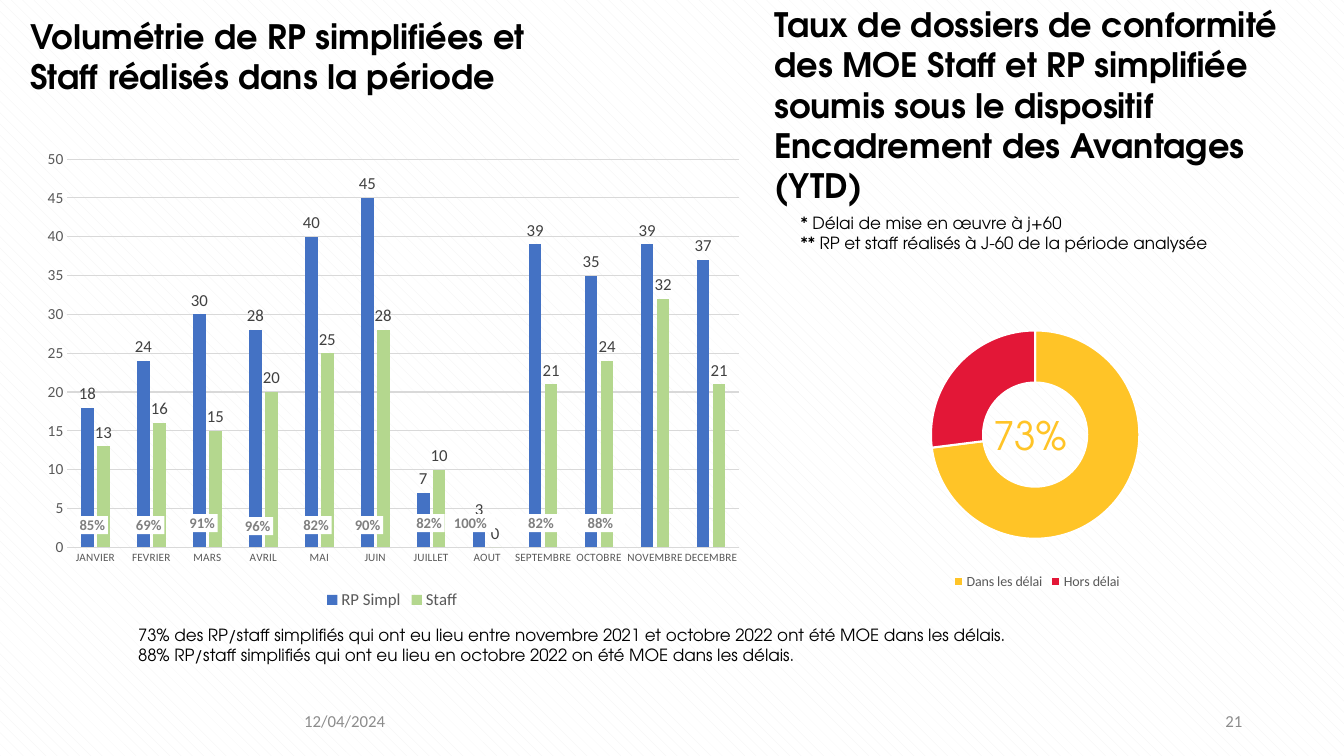
from dataclasses import dataclass

from lxml import etree
from pptx import Presentation
from pptx.chart.chart import Chart
from pptx.chart.data import CategoryChartData
from pptx.dml.color import RGBColor
from pptx.enum.chart import XL_CHART_TYPE, XL_LABEL_POSITION, XL_LEGEND_POSITION, XL_TICK_MARK
from pptx.enum.dml import MSO_PATTERN
from pptx.enum.shapes import MSO_SHAPE
from pptx.enum.text import MSO_ANCHOR, MSO_AUTO_SIZE, PP_ALIGN
from pptx.oxml.ns import qn
from pptx.slide import Slide
from pptx.text.text import Font
from pptx.util import Inches, Pt

COLUMNS, DOUGHNUT = XL_CHART_TYPE.COLUMN_CLUSTERED, XL_CHART_TYPE.DOUGHNUT
LEFT, CENTER, RIGHT = PP_ALIGN.LEFT, PP_ALIGN.CENTER, PP_ALIGN.RIGHT
TOP, MIDDLE = MSO_ANCHOR.TOP, MSO_ANCHOR.MIDDLE
NO_TICK = XL_TICK_MARK.NONE


@dataclass(frozen=True)
class Style:
    size: float
    color: str
    face: str = "Calibri"
    bold: bool = False


@dataclass(frozen=True)
class Theme:
    display: str = "TeX Gyre Adventor"
    white: str = "FFFFFF"
    hatch: str = "F2F2F2"
    grid: str = "D9D9D9"
    simplified: str = "4472C4"
    staff: str = "B4D78E"
    on_time: str = "FFC427"
    late: str = "E31737"
    title: Style = Style(24, "000000", display, True)
    note: Style = Style(12, "000000", display)
    rate: Style = Style(28, on_time, display)
    footer: Style = Style(12, "8C8C8C")
    badge: Style = Style(10.5, "808080", bold=True)
    chart: Style = Style(10, "000000")
    months: Style = Style(8, "595959")
    scale: Style = Style(11, "595959")
    legend: Style = Style(12, "595959")
    small_legend: Style = Style(10, "595959")
    value: Style = Style(12, "404040")


@dataclass(frozen=True)
class Area:
    left: float
    top: float
    width: float
    height: float

    def lengths(self) -> list[int]:
        return [Inches(side) for side in (self.left, self.top, self.width, self.height)]


@dataclass(frozen=True)
class TextBlock:
    area: Area
    lines: tuple[str, ...]
    style: Style
    align: PP_ALIGN = LEFT
    anchor: MSO_ANCHOR = MIDDLE
    inset: bool = False
    fill: str = ""


@dataclass(frozen=True)
class Badge:
    """Share of files handled on time, placed over a month's columns."""
    left: float
    top: float
    width: float
    text: str


THEME = Theme()

MONTHS = ("JANVIER", "FEVRIER", "MARS", "AVRIL", "MAI", "JUIN", "JUILLET", "AOUT",
          "SEPTEMBRE", "OCTOBRE", "NOVEMBRE", "DECEMBRE")
VOLUMES = {
    "RP Simpl": (18, 24, 30, 28, 40, 45, 7, 3, 39, 35, 39, 37),
    "Staff": (13, 16, 15, 20, 25, 28, 10, 0, 21, 24, 32, 21),
}
TEXTS = (
    TextBlock(Area(0.92, 6.95, 3, 0.4), ("12/04/2024",), THEME.footer, RIGHT, inset=True),
    TextBlock(Area(9.42, 6.95, 3, 0.4), ("21",), THEME.footer, RIGHT, inset=True),
    TextBlock(Area(0.3, 0.15, 5.58, 0.81),
              ("Volumétrie de RP simplifiées et Staff réalisés dans la période",), THEME.title),
    TextBlock(Area(7.68, 0.03, 5.58, 2.02),
              ("Taux de dossiers de conformité des MOE Staff et RP simplifiée soumis sous "
               "le dispositif Encadrement des Avantages (YTD)",), THEME.title),
    TextBlock(Area(7.94, 2.11, 5.17, 0.4),
              ("* Délai de mise en œuvre à j+60",
               "** RP et staff réalisés à J-60 de la période analysée"), THEME.note),
    TextBlock(Area(9.71, 4.08, 1.12, 0.47), ("73% ",), THEME.rate, CENTER, TOP),
    TextBlock(Area(1.37, 6.2, 9.72, 0.4),
              ("73% des RP/staff simplifiés qui ont eu lieu entre novembre 2021 et octobre 2022 "
               "ont été MOE dans les délais.",
               "88% RP/staff simplifiés qui ont eu lieu en octobre 2022 on été MOE dans les "
               "délais."), THEME.note),
)
BADGES = (
    Badge(0.76, 5.12, 0.31, "85%"), Badge(1.32, 5.12, 0.31, "69%"),
    Badge(1.85, 5.1, 0.31, "91%"), Badge(2.4, 5.13, 0.31, "96%"),
    Badge(2.98, 5.12, 0.31, "82%"), Badge(3.49, 5.12, 0.31, "90%"),
    Badge(4.1, 5.1, 0.31, "82%"), Badge(4.42, 5.1, 0.49, "100%"),
    Badge(5.12, 5.1, 0.49, "82%"), Badge(5.71, 5.1, 0.49, "88%"),
)


def apply(target: object, values: dict[str, object]) -> None:
    for name, value in values.items():
        setattr(target, name, value)


def set_font(font: Font, style: Style) -> None:
    apply(font, {"size": Pt(style.size), "name": style.face, "bold": style.bold})
    font.color.rgb = RGBColor.from_string(style.color)


def paint(fill: object, color: str) -> None:
    fill.solid()
    fill.fore_color.rgb = RGBColor.from_string(color)


def draw_text(page: Slide, block: TextBlock) -> None:
    if block.fill:
        box = page.shapes.add_shape(MSO_SHAPE.RECTANGLE, *block.area.lengths())
        box.shadow.inherit = False
        paint(box.fill, block.fill)
        box.line.fill.background()
    else:
        box = page.shapes.add_textbox(*block.area.lengths())
    frame = box.text_frame
    apply(frame, {"word_wrap": True, "vertical_anchor": block.anchor})
    if not block.inset:
        margins = dict.fromkeys(("margin_left", "margin_top", "margin_right", "margin_bottom"), 0)
        apply(frame, margins | {"auto_size": MSO_AUTO_SIZE.SHAPE_TO_FIT_TEXT})
    for index, line in enumerate(block.lines):
        para = frame.add_paragraph() if index else frame.paragraphs[0]
        para.alignment = block.align
        span = para.add_run()
        span.text = line
        set_font(span.font, block.style)


def place_plot(chart: Chart, area: Area) -> None:
    """Fix the inner plot area, given as fractions of the chart."""
    plot_area = chart.element.find(f".//{qn('c:plotArea')}")
    for old in plot_area.findall(qn("c:layout")):
        plot_area.remove(old)
    layout = etree.Element(qn("c:layout"))
    plot_area.insert(0, layout)
    manual = etree.SubElement(layout, qn("c:manualLayout"))
    settings = {"layoutTarget": "inner", "xMode": "edge", "yMode": "edge", "x": area.left,
                "y": area.top, "w": area.width, "h": area.height}
    for name, value in settings.items():
        etree.SubElement(manual, qn(f"c:{name}")).set("val", str(value))


def add_chart(page: Slide, kind: XL_CHART_TYPE, area: Area, plot_area: Area, legend: Style,
              categories: tuple[str, ...], series: dict[str, tuple[int, ...]]) -> Chart:
    data = CategoryChartData()
    data.categories = categories
    for name, values in series.items():
        data.add_series(name, values)
    chart = page.shapes.add_chart(kind, *area.lengths(), data).chart
    apply(chart, {"has_title": False, "has_legend": True})
    set_font(chart.font, THEME.chart)
    apply(chart.legend, {"position": XL_LEGEND_POSITION.BOTTOM, "include_in_layout": False})
    set_font(chart.legend.font, legend)
    place_plot(chart, plot_area)
    return chart


def draw_volumes(page: Slide) -> None:
    chart = add_chart(page, COLUMNS, Area(0.23, 1.39, 7.32, 4.7), Area(0.06, 0.04, 0.91, 0.82),
                      THEME.legend, MONTHS, VOLUMES)
    plot = chart.plots[0]
    apply(plot, {"gap_width": 219, "overlap": -27, "vary_by_categories": False})
    for series, color in zip(plot.series, (THEME.simplified, THEME.staff)):
        paint(series.format.fill, color)
        labels = series.data_labels
        apply(labels, {"show_value": True, "position": XL_LABEL_POSITION.OUTSIDE_END})
        set_font(labels.font, THEME.value)
    months, scale = chart.category_axis, chart.value_axis
    for axis, style in ((months, THEME.months), (scale, THEME.scale)):
        apply(axis, {"major_tick_mark": NO_TICK, "minor_tick_mark": NO_TICK})
        set_font(axis.tick_labels.font, style)
    apply(scale, {"minimum_scale": 0, "maximum_scale": 50, "major_unit": 5,
                  "has_major_gridlines": True})
    scale.format.line.fill.background()
    for line in (months.format.line, scale.major_gridlines.format.line):
        line.width = Pt(0.75)
        line.color.rgb = RGBColor.from_string(THEME.grid)


def draw_compliance(page: Slide) -> None:
    chart = add_chart(page, DOUGHNUT, Area(8.52, 3.17, 3.53, 2.72), Area(0.2, 0.04, 0.59, 0.76),
                      THEME.small_legend, ("Dans les délai", "Hors délai"),
                      {"Series 1": (73, 27)})
    plot = chart.plots[0]
    plot.vary_by_categories = True
    chart.element.find(f".//{qn('c:holeSize')}").set("val", "62")
    for index, color in enumerate((THEME.on_time, THEME.late)):
        look = plot.series[0].points[index].format
        paint(look.fill, color)
        look.line.width = Pt(1.5)
        look.line.color.rgb = RGBColor.from_string(THEME.white)


def main() -> None:
    deck = Presentation()
    apply(deck, {"slide_width": Inches(13.33), "slide_height": Inches(7.5)})
    page = deck.slides.add_slide(deck.slide_layouts[6])
    backdrop = page.background.fill
    backdrop.patterned()
    backdrop.pattern = MSO_PATTERN.SHINGLE
    backdrop.fore_color.rgb = RGBColor.from_string(THEME.hatch)
    backdrop.back_color.rgb = RGBColor.from_string(THEME.white)
    draw_volumes(page)
    draw_compliance(page)
    for block in TEXTS:
        draw_text(page, block)
    for badge in BADGES:
        draw_text(page, TextBlock(Area(badge.left, badge.top, badge.width, 0.18), (badge.text,),
                                  THEME.badge, CENTER, TOP, fill=THEME.white))
    deck.save("out.pptx")


if __name__ == "__main__":
    main()
